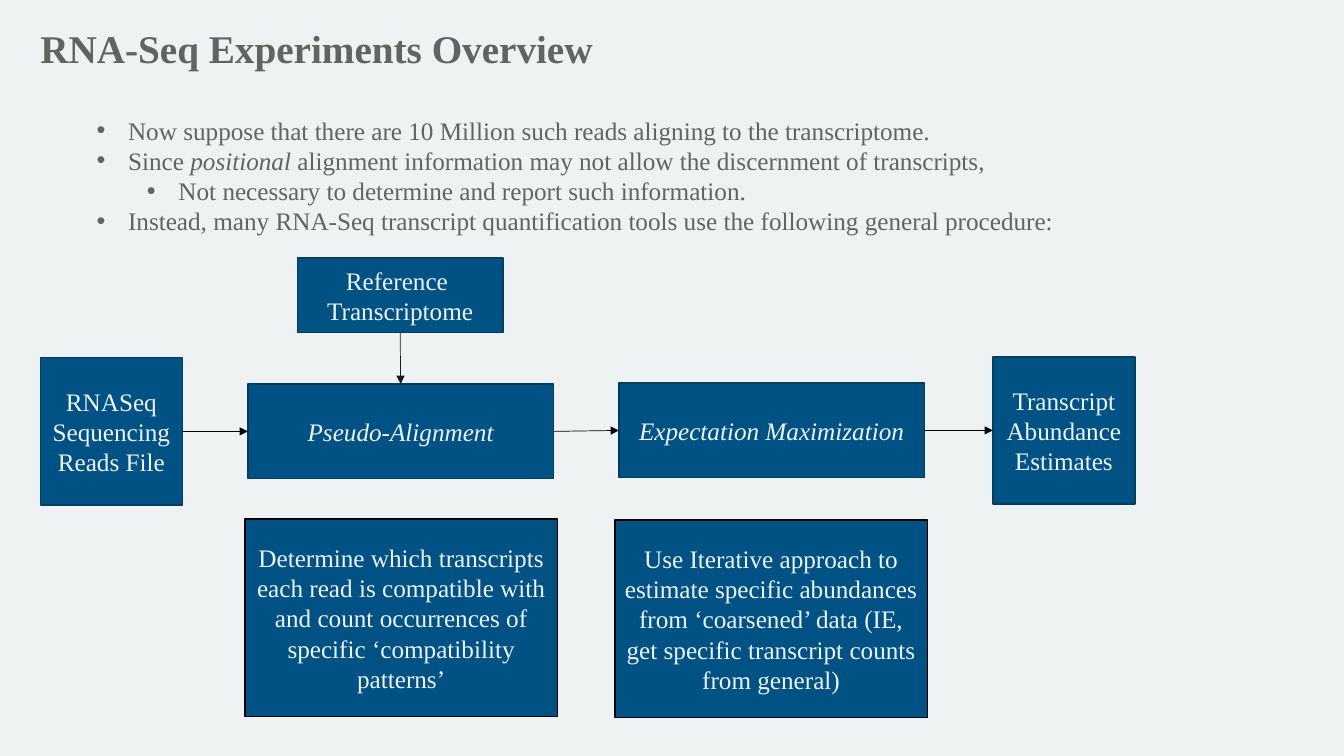
from lxml.etree import SubElement
from pptx import Presentation
from pptx.dml.color import RGBColor
from pptx.enum.shapes import MSO_CONNECTOR as Connector, MSO_SHAPE as Shape
from pptx.enum.text import MSO_ANCHOR as Anchor, MSO_AUTO_SIZE as AutoSize, PP_ALIGN as Align
from pptx.oxml.ns import qn
from pptx.util import Pt

COLORS = {
    "background": "EEF2F3",
    "text": "626462",
    "box": "005284",
    "step_border": "003D62",
    "black": "000000",
    "reference_arrow": "141B1C",
}
FONT = "Times New Roman"
TITLE = "RNA-Seq Experiments Overview"
BULLETS = [
    (0, [("Now suppose that there are 10 Million such reads aligning to the transcriptome.", False)]),
    (0, [("Since ", False), ("positional ", True),
         ("alignment information may not allow the discernment of transcripts,", False)]),
    (1, [("Not necessary to determine and report such information.", False)]),
    (0, [("Instead, many RNA-Seq transcript quantification tools use the following general procedure:", False)]),
]
SIZES = {
    "file": (101.5, 105.1),
    "step": (218.2, 67.7),
    "detail": (223.2, 141.1),
    "reference": (146.9, 53.3),
}
BOXES = {
    "reads": ("file", 28.8, 255.6, ["RNASeq Sequencing Reads File"]),
    "alignment": ("step", 177.1, 274.3, ["Pseudo-Alignment"]),
    "maximization": ("step", 442.1, 273.6, ["Expectation Maximization"]),
    "estimates": ("file", 709.2, 254.9, ["Transcript", "Abundance", "Estimates"]),
    "reference": ("reference", 212.4, 184.3, ["Reference ", "Transcriptome"]),
    "alignment detail": ("detail", 175, 370.8, [
        "Determine which transcripts each read is compatible with and count occurrences of "
        "specific ‘compatibility patterns’"]),
    "maximization detail": ("detail", 439.2, 371.5, [
        "Use Iterative approach to estimate specific abundances from ‘coarsened’ data "
        "(IE, get specific transcript counts from general)"]),
}
TOP, LEFT, BOTTOM, RIGHT = range(4)
ARROWS = [
    ("reads", RIGHT, "alignment", LEFT, "black"),
    ("alignment", RIGHT, "maximization", LEFT, "black"),
    ("maximization", RIGHT, "estimates", LEFT, "black"),
    ("reference", BOTTOM, "alignment", TOP, "reference_arrow"),
]


def color(name):
    return RGBColor.from_string(COLORS[name])


def add_text(paragraph, text, size=18, fill="text", bold=False, italic=False):
    run = paragraph.add_run()
    run.text = text
    run.font.name = FONT
    run.font.size = Pt(size)
    run.font.bold = bold
    run.font.italic = italic
    run.font.color.rgb = color(fill)


def paragraphs(frame, count):
    return [frame.paragraphs[0]] + [frame.add_paragraph() for _ in range(count - 1)]


def add_title(slide):
    title = slide.shapes.title
    title.left, title.top, title.width, title.height = Pt(21.6), Pt(17.3), Pt(614.2), Pt(51.8)
    frame = title.text_frame
    frame.auto_size = AutoSize.NONE
    frame.vertical_anchor = Anchor.TOP
    paragraph = frame.paragraphs[0]
    paragraph.alignment = Align.LEFT
    paragraph.line_spacing = 0.9
    add_text(paragraph, TITLE, size=28, bold=True)


def add_bullets(slide):
    frame = slide.shapes.add_textbox(Pt(61.9), Pt(78.5), Pt(818.6), Pt(94.3)).text_frame
    frame.word_wrap = True
    for paragraph, (level, parts) in zip(paragraphs(frame, len(BULLETS)), BULLETS):
        paragraph.level = level
        properties = paragraph._p.get_or_add_pPr()
        properties.set("marL", str(Pt(22.5 + 36 * level)))
        properties.set("indent", str(Pt(-22.5)))
        SubElement(properties, qn("a:buFont"), typeface="Arial")
        SubElement(properties, qn("a:buChar"), char="•")
        for text, italic in parts:
            add_text(paragraph, text, italic=italic)


def add_box(slide, kind, left, top, lines):
    width, height = SIZES[kind]
    box = slide.shapes.add_shape(Shape.RECTANGLE, Pt(left), Pt(top), Pt(width), Pt(height))
    box.shadow.inherit = False
    box.fill.solid()
    box.fill.fore_color.rgb = color("box")
    box.line.color.rgb = color("black" if kind == "detail" else "step_border")
    box.line.width = Pt(1)
    frame = box.text_frame
    frame.word_wrap = True
    frame.vertical_anchor = Anchor.MIDDLE
    for paragraph, line in zip(paragraphs(frame, len(lines)), lines):
        paragraph.alignment = Align.CENTER
        add_text(paragraph, line, fill="background", italic=kind == "step")
    return box


def add_arrow(slide, start, start_side, end, end_side, line_color):
    arrow = slide.shapes.add_connector(Connector.STRAIGHT, 0, 0, 0, 0)
    arrow.begin_connect(start, start_side)
    arrow.end_connect(end, end_side)
    arrow.line.color.rgb = color(line_color)
    arrow.line.width = Pt(0.5)
    SubElement(arrow.line._get_or_add_ln(), qn("a:tailEnd"), type="triangle")
    SubElement(arrow._element.spPr, qn("a:effectLst"))


def main():
    presentation = Presentation()
    presentation.slide_width, presentation.slide_height = Pt(960), Pt(540)
    slide = presentation.slides.add_slide(presentation.slide_layouts[5])
    slide.background.fill.solid()
    slide.background.fill.fore_color.rgb = color("background")
    add_title(slide)
    add_bullets(slide)
    boxes = {name: add_box(slide, *box) for name, box in BOXES.items()}
    for start, start_side, end, end_side, line_color in ARROWS:
        add_arrow(slide, boxes[start], start_side, boxes[end], end_side, line_color)
    presentation.save("out.pptx")


if __name__ == "__main__":
    main()
